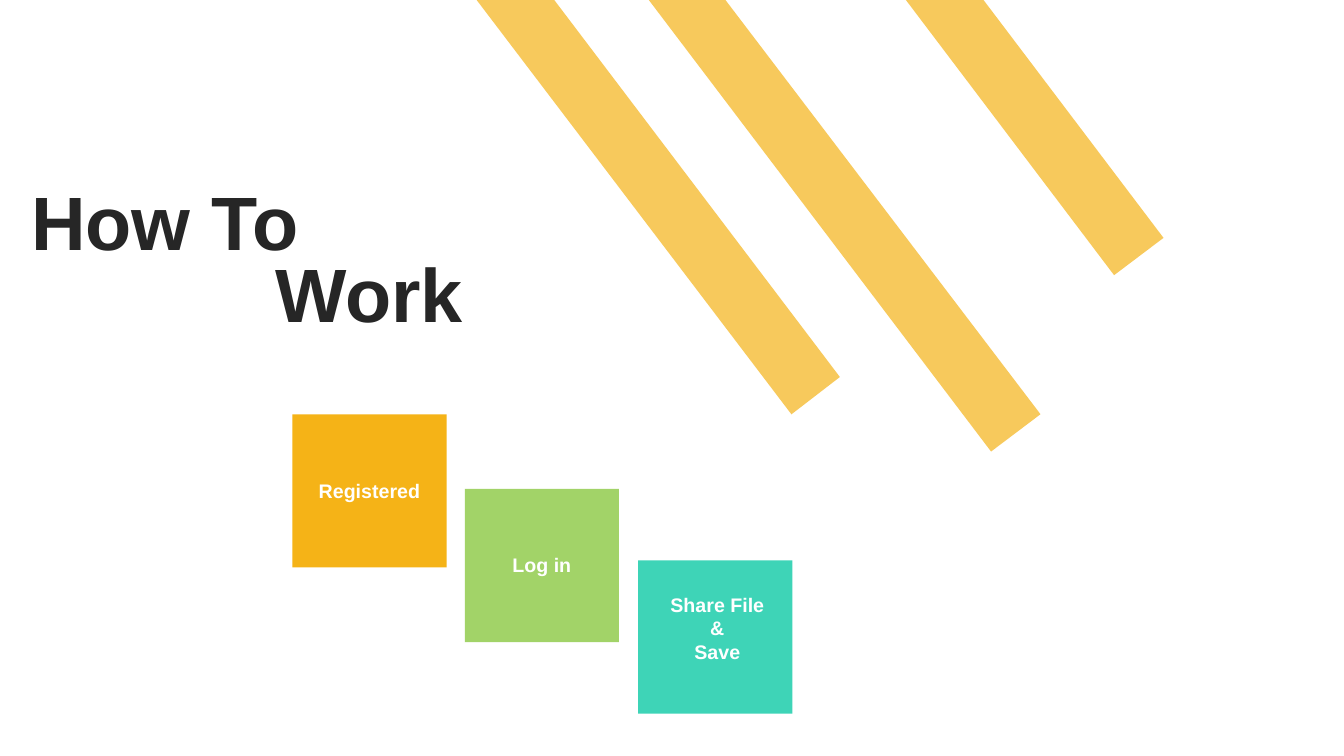
from dataclasses import dataclass

from lxml import etree
from pptx import Presentation
from pptx import util as u
from pptx.dml.color import RGBColor
from pptx.enum import shapes, text
from pptx.oxml import ns

HUES = {"amber": "F5B317", "green": "A2D368", "teal": "3ED4B7",
        "ink": "262626", "white": "FFFFFF"}
FRAME = {"word_wrap": True, "auto_size": text.MSO_AUTO_SIZE.SHAPE_TO_FIT_TEXT}
TITLE = {"name": "Arial", "size": u.Pt(54), "bold": True}
LABEL = {"name": "Arial", "size": u.Pt(14), "bold": True}
SIDE = 1.53


@dataclass
class Stripe:
    points: list[tuple[float, float]]


@dataclass
class Head:
    words: str
    left: float
    top: float
    indent: float


@dataclass
class Step:
    words: str
    left: float
    top: float
    hue: str
    drop: float = 0.59
    shift: float = 0
    height: float = 0.34


STRIPES = [
    Stripe([(8.97, -0.02), (9.74, -0.02), (11.54, 2.36), (11.05, 2.73)]),
    Stripe([(4.72, -0.01), (5.49, -0.01), (8.33, 3.74), (7.85, 4.11)]),
    Stripe([(6.42, -0.02), (7.18, -0.02), (10.32, 4.11), (9.83, 4.48)]),
]
HEADS = [Head("How To", 0.21, 1.68, 0.1), Head("Work", 0.63, 2.39, 2.1)]
STEPS = [
    Step("Registered", 2.9, 4.11, "amber"),
    Step("Log in", 4.61, 4.85, "green"),
    Step("Share File\n&\nSave", 6.33, 5.56, "teal", 0.27, 0.02, 0.81),
]


def tint(name: str) -> RGBColor:
    return RGBColor.from_string(HUES[name])


def apply(target, values: dict) -> None:
    for key, value in values.items():
        setattr(target, key, value)


def paint(shape, hue: str) -> None:
    shape.shadow.inherit = False
    shape.fill.solid()
    shape.fill.fore_color.rgb = tint(hue)
    shape.line.fill.background()


def write(slide, words: str, box: tuple, font: dict, hue: str, frame: dict,
          align: text.PP_ALIGN) -> None:
    body = slide.shapes.add_textbox(*map(u.Inches, box)).text_frame
    body.text = words
    apply(body, FRAME | frame)
    for para in body.paragraphs:
        para.alignment = align
        for run in para.runs:
            apply(run.font, font)
            run.font.color.rgb = tint(hue)


def draw_stripe(slide, stripe: Stripe) -> None:
    first, *rest = [(u.Inches(x), u.Inches(y)) for x, y in stripe.points]
    path = slide.shapes.build_freeform(*first)
    path.add_line_segments(rest, close=True)
    shape = path.convert_to_shape()
    paint(shape, "amber")
    # Let the background show through
    color = shape.element.spPr.find(".//" + ns.qn("a:srgbClr"))
    etree.SubElement(color, ns.qn("a:alpha"), val="70000")


def draw_head(slide, head: Head) -> None:
    frame = {"vertical_anchor": text.MSO_ANCHOR.MIDDLE,
             "margin_left": u.Inches(head.indent)}
    write(slide, head.words, (head.left, head.top, 6.46, 1.01), TITLE, "ink",
          frame, text.PP_ALIGN.LEFT)


def draw_step(slide, step: Step) -> None:
    box = map(u.Inches, (step.left, step.top, SIDE, 1.52))
    paint(slide.shapes.add_shape(shapes.MSO_SHAPE.RECTANGLE, *box), step.hue)
    spot = (step.left + step.shift, step.top + step.drop, SIDE, step.height)
    write(slide, step.words, spot, LABEL, "white", {}, text.PP_ALIGN.CENTER)


def main() -> None:
    deck = Presentation()
    apply(deck, {"slide_width": u.Inches(13.33), "slide_height": u.Inches(7.5)})
    slide = deck.slides.add_slide(deck.slide_layouts[6])

    # Diagonal stripes
    for stripe in STRIPES:
        draw_stripe(slide, stripe)

    # Two-line heading
    for head in HEADS:
        draw_head(slide, head)

    # Descending steps
    for step in STEPS:
        draw_step(slide, step)

    deck.save("out.pptx")


if __name__ == "__main__":
    main()
